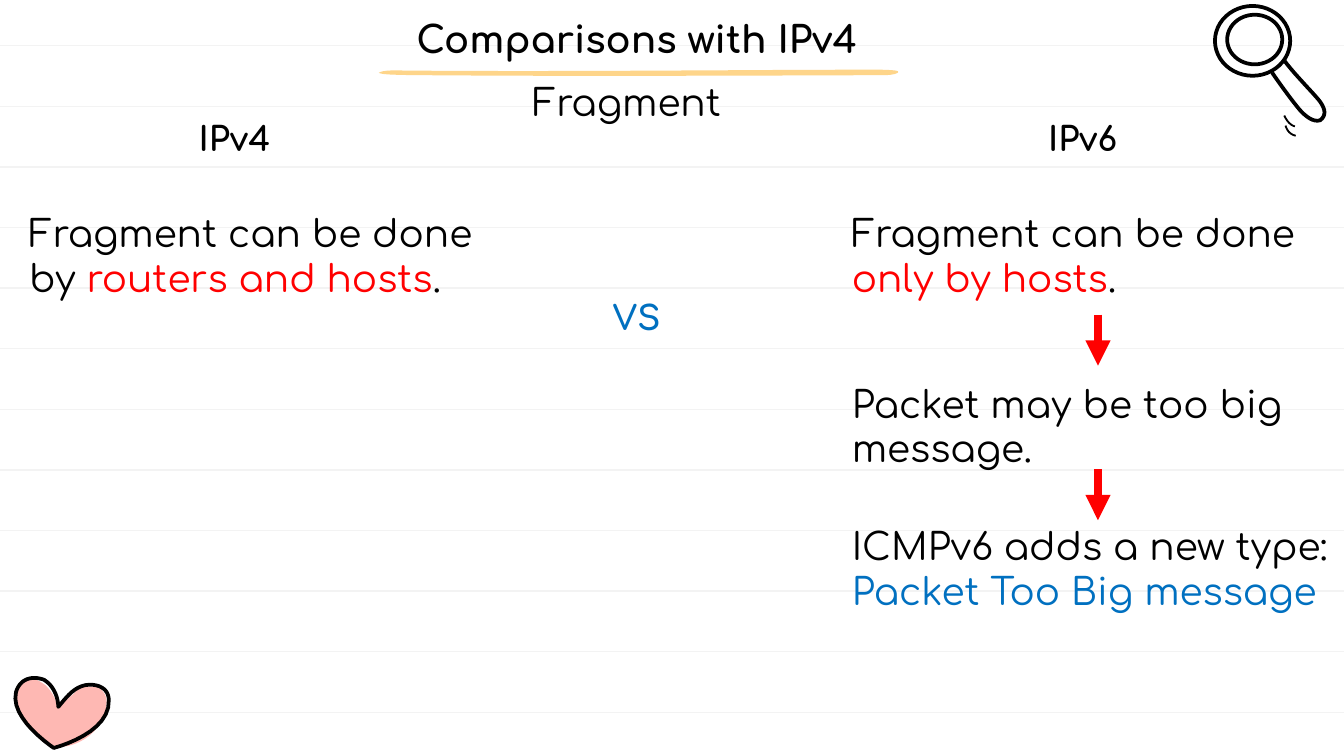
from lxml.etree import SubElement
from pptx import Presentation
from pptx.dml.color import RGBColor
from pptx.enum.shapes import MSO_CONNECTOR, MSO_SHAPE
from pptx.enum.text import MSO_ANCHOR, MSO_AUTO_SIZE, PP_ALIGN
from pptx.oxml.ns import qn
from pptx.util import Pt

WIDTH, HEIGHT = 720, 405
FONT = "Comfortaa"
BLACK, RED, BLUE = "000000", "FF0000", "0070C0"
RULE_GRAY, UNDERLINE, PINK = "F3F3F3", "FED58A", "FEB8B3"

# Statements: left, top, runs
STATEMENTS = [
    (8.6, 104.4, [("Fragment can be done by ", BLACK), ("routers and hosts", RED), (".", BLACK)]),
    (449.3, 104.4, [("Fragment can be done ", BLACK), ("only by hosts", RED), (".", BLACK)]),
    (449.3, 195.8, [("Packet may be too big message.", BLACK)]),
    (449.3, 272.2, [("ICMPv6 adds a new type: ", BLACK), ("Packet Too Big message", BLUE)]),
]
# Labels: text, left, top, width, colour
LABELS = [
    ("IPv4", 99.4, 59.8, 60.5, BLACK),
    ("IPv6", 554.4, 59.8, 60.5, BLACK),
    ("VS", 321.1, 155.5, 42.5, BLUE),
]
ARROW_X, ARROW_LENGTH, ARROW_TOPS = 588.2, 27.4, (168.5, 251.3)
FIRST_RULE, RULE_GAP, RULE_COUNT = 24.5, 32.46, 12

# Lens rings: left, top, width, height
LENS_RINGS = [(650.9, 3.2, 40.3, 37.4), (657.4, 7.9, 29.5, 26.6)]

# Curves: a start point, then cubic pieces (control, control, end)
TITLE_UNDERLINE = [
    (203, 39), (206, 37.2), (214, 37.9), (221, 37.9), (300, 38.5), (380, 37.6), (449, 37.4),
    (464, 37.3), (478, 37.2), (480.5, 38), (482.5, 38.6), (480, 40.3), (473.8, 40.3),
    (400, 40.6), (300, 41), (223, 40.3), (212, 40.2), (204, 40), (203, 39),
]
HEART_FILL = [
    (16.6, 363.6), (15.1, 363.6), (13.7, 363.6), (13, 364.3), (8.6, 367.2), (8.6, 373), (9.4, 377.3),
    (10.8, 383.8), (14.4, 388.8), (18.7, 393.1), (21.6, 396.7), (25.2, 400.3), (30.6, 400.3),
    (41, 400.3), (51.8, 393.8), (55.4, 383.8), (56.9, 380.2), (58.3, 374.4), (55.4, 370.8),
    (54, 368.6), (51.8, 367.9), (49.7, 367.9), (48.2, 367.9), (46.8, 367.9), (45.4, 367.9),
    (42.5, 367.9), (41, 370.1), (38.9, 372.2), (36, 374.4), (33.1, 377.3), (31, 379.4),
    (30.2, 375.1), (28.1, 370.8), (24.5, 367.2), (21.6, 365), (18.7, 363.6), (16.6, 363.6),
]
HEART_OUTLINE = [
    (18.4, 363.2), (20.2, 363.2), (22.3, 363.6), (23.8, 364.3), (28.4, 367.2), (31, 372.6), (31.3, 378.7),
    (36, 373), (40.3, 367.2), (47.9, 366.8), (54.7, 366.8), (58.3, 370.1), (58.3, 375.1),
    (59, 388.8), (41, 397.4), (28.8, 400.7), (20.2, 394.6), (5.8, 382.3), (8.6, 370.8),
    (10.1, 365.8), (13.7, 363.2), (18.4, 363.2),
]
HANDLE = [
    (688.3, 32.8), (693.4, 39.6), (701.3, 47.5), (706.3, 53.3), (709.2, 56.9), (711.4, 61.2), (707.4, 64.4),
    (702.7, 66.2), (697, 60), (694.4, 56.5), (690, 51), (685, 44), (681.5, 38.9),
]
MOTION_MARKS = [
    [(688, 61.9), (689.4, 64.8), (691.2, 67), (693.7, 67.7)],
    [(688.7, 67.3), (689.4, 70), (691.4, 72.2), (694.1, 72.7)],
]


def color(value):
    return RGBColor.from_string(value)


def paint(shape, fill=None, line=None, width=0):
    shape.shadow.inherit = False
    if fill:
        shape.fill.solid()
        shape.fill.fore_color.rgb = color(fill)
    else:
        shape.fill.background()
    if line:
        shape.line.color.rgb = color(line)
        shape.line.width = Pt(width)
    else:
        shape.line.fill.background()


def add_curve(slide, points, closed=True, **style):
    """Draw cubic pieces as a freeform of short straight steps."""
    steps = 10
    outline = []
    for first in range(0, len(points) - 1, 3):
        piece = points[first:first + 4]
        for step in range(1, steps + 1):
            t = step / steps
            weights = ((1 - t) ** 3, 3 * t * (1 - t) ** 2, 3 * t * t * (1 - t), t ** 3)
            outline.append(tuple(Pt(sum(w * point[axis] for w, point in zip(weights, piece)))
                                 for axis in (0, 1)))
    builder = slide.shapes.build_freeform(Pt(points[0][0]), Pt(points[0][1]))
    builder.add_line_segments(outline, close=closed)
    paint(builder.convert_to_shape(), **style)


def add_line(slide, start, end, line_color, width, arrow=False):
    connector = slide.shapes.add_connector(MSO_CONNECTOR.STRAIGHT, *map(Pt, start + end))
    connector.line.color.rgb = color(line_color)
    connector.line.width = Pt(width)
    if arrow:
        SubElement(connector.line._get_or_add_ln(), qn("a:tailEnd"), type="triangle")
    SubElement(connector._element.spPr, qn("a:effectLst"))


def add_text(slide, box, runs, size=20, bold=False, inset=7.2, anchor=MSO_ANCHOR.TOP, align=PP_ALIGN.LEFT):
    text_frame = slide.shapes.add_textbox(*map(Pt, box)).text_frame
    text_frame.word_wrap = True
    text_frame.auto_size = MSO_AUTO_SIZE.NONE
    text_frame.vertical_anchor = anchor
    text_frame.margin_top = text_frame.margin_bottom = Pt(inset)
    paragraph = text_frame.paragraphs[0]
    paragraph.alignment = align
    for text, run_color in runs:
        run = paragraph.add_run()
        run.text = text
        run.font.name = FONT
        run.font.size = Pt(size)
        run.font.bold = bold
        run.font.color.rgb = color(run_color)
    return paragraph


def main():
    presentation = Presentation()
    presentation.slide_width, presentation.slide_height = Pt(WIDTH), Pt(HEIGHT)
    slide = presentation.slides.add_slide(presentation.slide_layouts[6])

    for index in range(RULE_COUNT):
        y = FIRST_RULE + index * RULE_GAP
        add_line(slide, (0, y), (WIDTH, y), RULE_GRAY, 0.75)

    for left, top, width, height in LENS_RINGS:
        ring = slide.shapes.add_shape(MSO_SHAPE.OVAL, Pt(left), Pt(top), Pt(width), Pt(height))
        paint(ring, line=BLACK, width=2)
    add_curve(slide, HANDLE, closed=False, line=BLACK, width=2)
    for mark in MOTION_MARKS:
        add_curve(slide, mark, closed=False, line=BLACK, width=1)

    add_curve(slide, TITLE_UNDERLINE, fill=UNDERLINE)
    title = add_text(slide, (182.2, 1.4, 306, 47.5), [("Comparisons with IPv4", BLACK)],
                     bold=True, align=PP_ALIGN.CENTER)
    title._p.get_or_add_pPr().set("marL", str(Pt(12)))
    add_text(slide, (241.9, 35.3, 187.9, 37.4), [("Fragment", BLACK)], align=PP_ALIGN.CENTER)

    add_curve(slide, HEART_FILL, fill=PINK)
    add_curve(slide, HEART_OUTLINE, line=BLACK, width=2)

    for text, left, top, width, text_color in LABELS:
        add_text(slide, (left, top, width, 28.8), [(text, text_color)], size=18, bold=True, inset=3.6)
    for left, top, runs in STATEMENTS:
        add_text(slide, (left, top, 278.6, 63.4), runs, anchor=MSO_ANCHOR.BOTTOM)
    for top in ARROW_TOPS:
        add_line(slide, (ARROW_X, top), (ARROW_X, top + ARROW_LENGTH), RED, 4.5, arrow=True)

    presentation.save("out.pptx")


if __name__ == "__main__":
    main()
